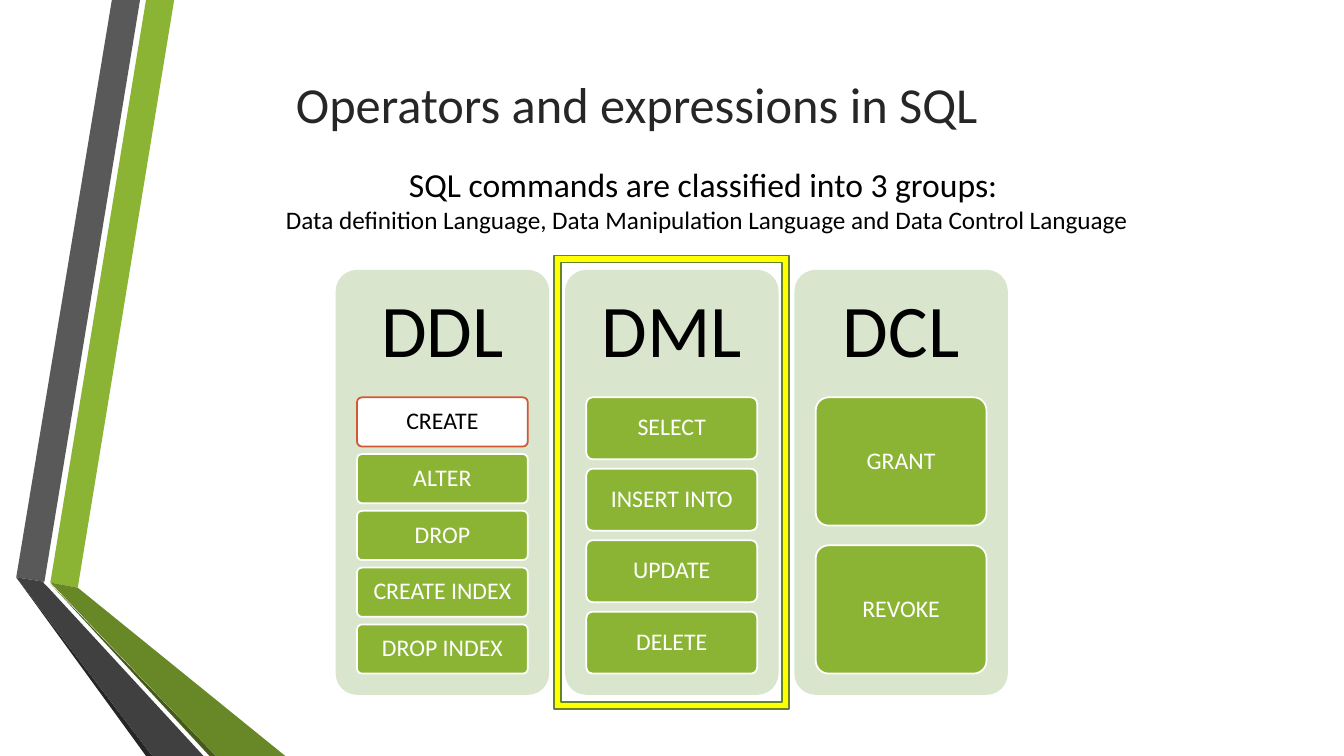
from dataclasses import dataclass

from pptx import Presentation
from pptx.dml.color import RGBColor as RGB
from pptx.enum.shapes import MSO_SHAPE as SHAPE
from pptx.enum.text import MSO_ANCHOR as ANCHOR, PP_ALIGN as ALIGN
from pptx.util import Cm, Pt


@dataclass(frozen=True)
class Theme:
    font: str = "Calibri"
    title_size: float = 36
    lead_size: float = 24
    detail_size: float = 18
    heading_size: float = 53
    tile_size: float = 17
    line_width: float = 1.25
    black: str = "000000"
    white: str = "FFFFFF"
    title: str = "262626"
    panel: str = "DAE5CE"
    green: str = "8BB434"
    green_shade: str = "688727"
    green_edge: str = "465A1A"
    gray: str = "595959"
    gray_shade: str = "404040"
    gray_edge: str = "262626"
    accent: str = "D35731"
    highlight: str = "FFFF00"
    highlight_line: str = "678526"


T = Theme()

RIBBONS = [
    (T.green, [(1.27, 14.68), (1.96, 14.81), (4.39, 0), (3.68, 0)]),
    (T.gray, [(3.53, 0), (2.82, 0), (0.41, 14.55), (1.12, 14.66)]),
    (T.gray_edge, [(0.41, 14.55), (3.68, 19.05), (3.84, 19.05)]),
    (T.green_edge, [(1.27, 14.71), (5.28, 19.05), (5.44, 19.05)]),
    (T.green_shade, [(1.27, 14.68), (5.44, 19.05), (7.19, 19.05), (1.96, 14.81)]),
    (T.gray_shade, [(5.13, 19.05), (1.22, 14.81), (1.09, 14.68), (1.12, 14.66),
                    (0.41, 14.55), (3.84, 19.05)]),
]

GROUPS = [
    ("DDL", ["CREATE", "ALTER", "DROP", "CREATE INDEX", "DROP INDEX"]),
    ("DML", ["SELECT", "INSERT INTO", "UPDATE", "DELETE"]),
    ("DCL", ["GRANT", "REVOKE"]),
]
OUTLINED = "CREATE"
HIGHLIGHTED = "DML"


def paint(sp, fill, line=None):
    sp.shadow.inherit = False
    sp.fill.solid()
    sp.fill.fore_color.rgb = RGB.from_string(fill)
    if line:
        sp.line.color.rgb = RGB.from_string(line)
        sp.line.width = Pt(T.line_width)
    else:
        sp.line.fill.background()


def add_shape(s, kind, box, adj, fill, line=None):
    sp = s.shapes.add_shape(kind, *map(Cm, box))
    sp.adjustments[0] = adj
    paint(sp, fill, line)
    return sp


def write(sp, lines, color, align=ALIGN.CENTER, anchor=ANCHOR.TOP, spacing=None, inset=None):
    tf = sp.text_frame
    tf.word_wrap = True
    tf.vertical_anchor = anchor
    if inset is not None:
        tf.margin_left = tf.margin_right = Cm(inset)
        tf.margin_top = tf.margin_bottom = Cm(inset)
    for i, (text, size) in enumerate(lines):
        p = tf.add_paragraph() if i else tf.paragraphs[0]
        p.alignment = align
        if spacing:
            p.line_spacing = spacing
        r = p.add_run()
        r.text = text
        r.font.name = T.font
        r.font.size = Pt(size)
        r.font.color.rgb = RGB.from_string(color)


def add_ribbons(s, box):
    left, top = box
    for color, points in RIBBONS:
        start, *rest = [(Cm(left + x), Cm(top + y)) for x, y in points]
        builder = s.shapes.build_freeform(*start, scale=1.0)
        builder.add_line_segments(rest, close=True)
        paint(builder.convert_to_shape(), color)


def add_title(s, box):
    sp = s.shapes.add_textbox(*map(Cm, box))
    write(sp, [("Operators and expressions in SQL", T.title_size)], T.title, ALIGN.LEFT)


def add_intro(s, box):
    sp = s.shapes.add_textbox(*map(Cm, box))
    write(sp, [
        ("SQL commands are classified into 3 groups: ", T.lead_size),
        ("Data definition Language, Data Manipulation Language and Data Control Language",
         T.detail_size),
    ], T.black)


def add_group(s, box, heading, commands):
    left, top, width, height = box
    add_shape(s, SHAPE.ROUNDED_RECTANGLE, box, 0.1, T.panel)
    sp = s.shapes.add_textbox(*map(Cm, (left, top, width, 0.3 * height)))
    write(sp, [(heading, T.heading_size)], T.black, anchor=ANCHOR.MIDDLE,
          spacing=0.9, inset=0.56)

    gap_ratio = 2 / 13
    count = len(commands)
    tile_h = 0.65 * height / (count + (count - 1) * gap_ratio)
    for i, command in enumerate(commands):
        y = top + 0.3 * height + i * tile_h * (1 + gap_ratio)
        tile = (left + 0.1 * width, y, 0.8 * width, tile_h)
        if command == OUTLINED:
            fill, line, color = T.white, T.accent, T.black
        else:
            fill, line, color = T.green, T.white, T.white
        sp = add_shape(s, SHAPE.ROUNDED_RECTANGLE, tile, 0.1, fill, line)
        write(sp, [(command, T.tile_size)], color, anchor=ANCHOR.MIDDLE,
              spacing=0.9, inset=0.1)


def add_groups(s, box):
    left, top, width, height = box
    gap = 0.4
    column_w = (width - gap * (len(GROUPS) - 1)) / len(GROUPS)
    for i, (heading, commands) in enumerate(GROUPS):
        x = left + i * (column_w + gap)
        add_group(s, (x, top, column_w, height), heading, commands)
        if heading == HIGHLIGHTED:
            frame = (x - 0.27, top - 0.36, column_w + 0.54, height + 0.72)
    add_shape(s, SHAPE.FRAME, frame, 0.03, T.highlight, T.highlight_line)


def main():
    prs = Presentation()
    prs.slide_width, prs.slide_height = Cm(33.87), Cm(19.05)
    s = prs.slides.add_slide(prs.slide_layouts[6])
    add_ribbons(s, (0, 0))
    add_intro(s, (4.01, 4.01, 27.61, 2.82))
    add_groups(s, (8.46, 6.8, 16.94, 10.71))
    add_title(s, (7.21, 1.73, 24.77, 3.56))
    prs.save("out.pptx")


if __name__ == "__main__":
    main()
